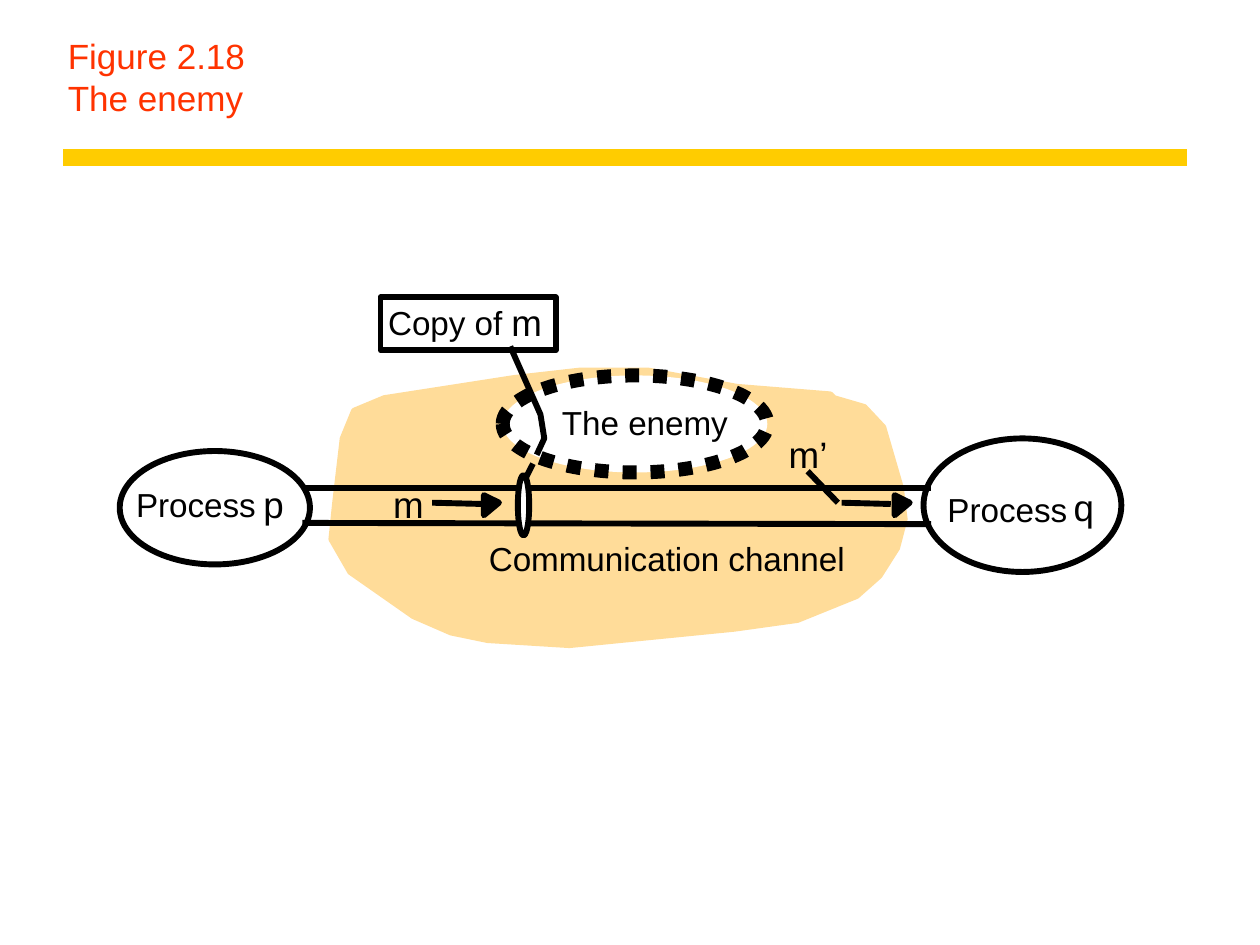
from pptx import Presentation, util as u
from pptx.dml.color import RGBColor
from pptx.enum import dml, shapes, text
from pptx.oxml.xmlchemy import OxmlElement

presentation = Presentation()
presentation.slide_width = u.Inches(10)
presentation.slide_height = u.Inches(7.5)
slide = presentation.slides.add_slide(presentation.slide_layouts[6])
column = presentation.slide_width / 10
row = presentation.slide_height / 7.5
black, white, sand, gold, red = "000000", "FFFFFF", "FFDC99", "FFCC00", "FF3300"
stroke = 3.37


def place(*lengths):
    return [round(length * (row if index % 2 else column)) for index, length in enumerate(lengths)]


def paint(shape, line, width=stroke, fill=None):
    shape.line.color.rgb = RGBColor.from_string(line)
    shape.line.width = u.Pt(width)
    if shape.shape_type == shapes.MSO_SHAPE_TYPE.LINE:
        shape._element.spPr.append(OxmlElement("a:effectLst"))
        return
    shape.shadow.inherit = False
    if fill:
        shape.fill.solid()
        shape.fill.fore_color.rgb = RGBColor.from_string(fill)
    else:
        shape.fill.background()


cloud = [
    (6.59, 3.13), (5.85, 3.07), (5.14, 2.94), (4.61, 2.94), (4.08, 3), (3.05, 3.16), (2.81, 3.26),
    (2.72, 3.48), (2.66, 3.99), (2.63, 4.28), (2.78, 4.54), (3.28, 4.89), (3.58, 5.02),
    (3.87, 5.08), (4.52, 5.12), (5.83, 4.99), (6.33, 4.92), (6.8, 4.73), (6.98, 4.57),
    (7.12, 4.35), (7.18, 4.12), (7.15, 3.87), (7.01, 3.39), (6.86, 3.23), (6.62, 3.16),
]
tap = [(4.05, 2.75), (4.29, 3.29), (4.32, 3.48), (4.26, 3.61)]
arrowheads = [
    [(left, 3.99), (left, 3.93), (left + 0.12, 3.99), (left, 4.09)] for left in (3.84, 7.1)
]
outlines = [(cloud, sand, sand)]
outlines += [(arrowhead, black, black) for arrowhead in arrowheads]
outlines += [(tap, black, None)]
for points, line, fill in outlines:
    start, *others = [place(*point) for point in points]
    builder = slide.shapes.build_freeform(*start)
    builder.add_line_segments(others, close=fill is not None)
    paint(builder.convert_to_shape(), line, fill=fill)

oval, rectangle = shapes.MSO_SHAPE.OVAL, shapes.MSO_SHAPE.RECTANGLE
enemy = slide.shapes.add_shape(oval, *place(3.99, 2.98, 2.1, 0.77))
paint(enemy, black, 8, white)
enemy.line.dash_style = dml.MSO_LINE.ROUND_DOT
tap_shape = slide.shapes[-2]
enemy._element.addnext(tap_shape._element)

for kind, box, fill in [
    (oval, (7.33, 3.48, 1.57, 1.06), white),
    (oval, (0.95, 3.58, 1.51, 0.9), white),
    (rectangle, (3.02, 2.36, 1.39, 0.42), None),
]:
    paint(slide.shapes.add_shape(kind, *place(*box)), black, fill=fill)

for ends, color, width in [
    ((0.5, 1.25, 9.42, 1.25), gold, 10),
    ((2.4, 3.87, 7.39, 3.87), black, stroke),
    ((2.4, 4.15, 7.39, 4.16), black, stroke),
    ((3.43, 3.99, 3.84, 4), black, stroke),
    ((6.68, 3.99, 7.07, 4), black, stroke),
    ((6.65, 3.99, 6.41, 3.74), black, stroke),
    ((4.17, 3.8, 4.23, 3.68), black, stroke),
]:
    connector = slide.shapes.add_connector(shapes.MSO_CONNECTOR.STRAIGHT, *place(*ends))
    paint(connector, color, width)

ring = slide.shapes.add_shape(oval, *place(4.11, 3.77, 0.09, 0.48))
paint(ring, black, fill=white)

top, bottom = text.MSO_ANCHOR.TOP, text.MSO_ANCHOR.BOTTOM
flush, title_insets = (0, 0, 0, 0), (0.1, 0.06, 0.14, 0.06)
labels = [
    (["Figure 2.18", "The enemy"], (0.44, 0, 8.97, 1), 20, red, title_insets, bottom),
]
labels += [
    ([label], box, size, black, flush, top)
    for label, box, size in [
        ("Communication channel", (3.88, 4.27, 2.83, 0.32), 19),
        ("Copy of", (3.08, 2.4, 0.98, 0.32), 19),
        ("m", (4.06, 2.38, 0.27, 0.35), 21),
        ("Process", (1.08, 3.84, 1.03, 0.32), 19),
        ("p", (2.09, 3.82, 0.18, 0.35), 21),
        ("Process", (7.52, 3.88, 1.03, 0.32), 19),
        ("q", (8.52, 3.85, 0.18, 0.35), 21),
        ("m", (3.12, 3.82, 0.27, 0.35), 21),
        ("The enemy", (4.46, 3.19, 1.32, 0.32), 19),
        ("m’", (6.26, 3.43, 0.32, 0.35), 21),
    ]
]
for lines, box, size, color, insets, anchor in labels:
    frame = slide.shapes.add_textbox(*place(*box)).text_frame
    frame.word_wrap = anchor == bottom
    frame.vertical_anchor = anchor
    frame.margin_left, frame.margin_top, frame.margin_right, frame.margin_bottom = place(*insets)
    paragraph = frame.paragraphs[0]
    paragraph.alignment = text.PP_ALIGN.LEFT
    for index, line in enumerate(lines):
        if index:
            paragraph.add_line_break()
        run = paragraph.add_run()
        run.text = line
        run.font.name = "Arial"
        run.font.size = u.Pt(size)
        run.font.color.rgb = RGBColor.from_string(color)

presentation.save("out.pptx")
